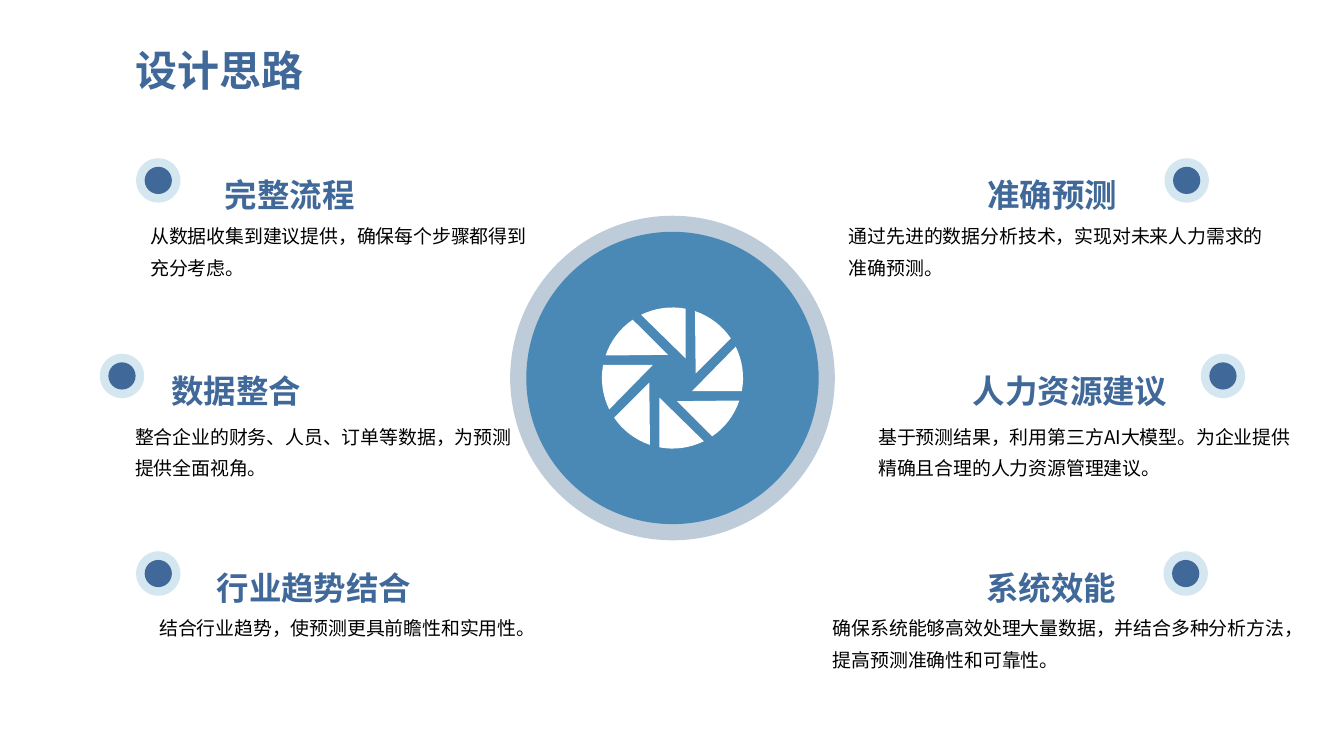
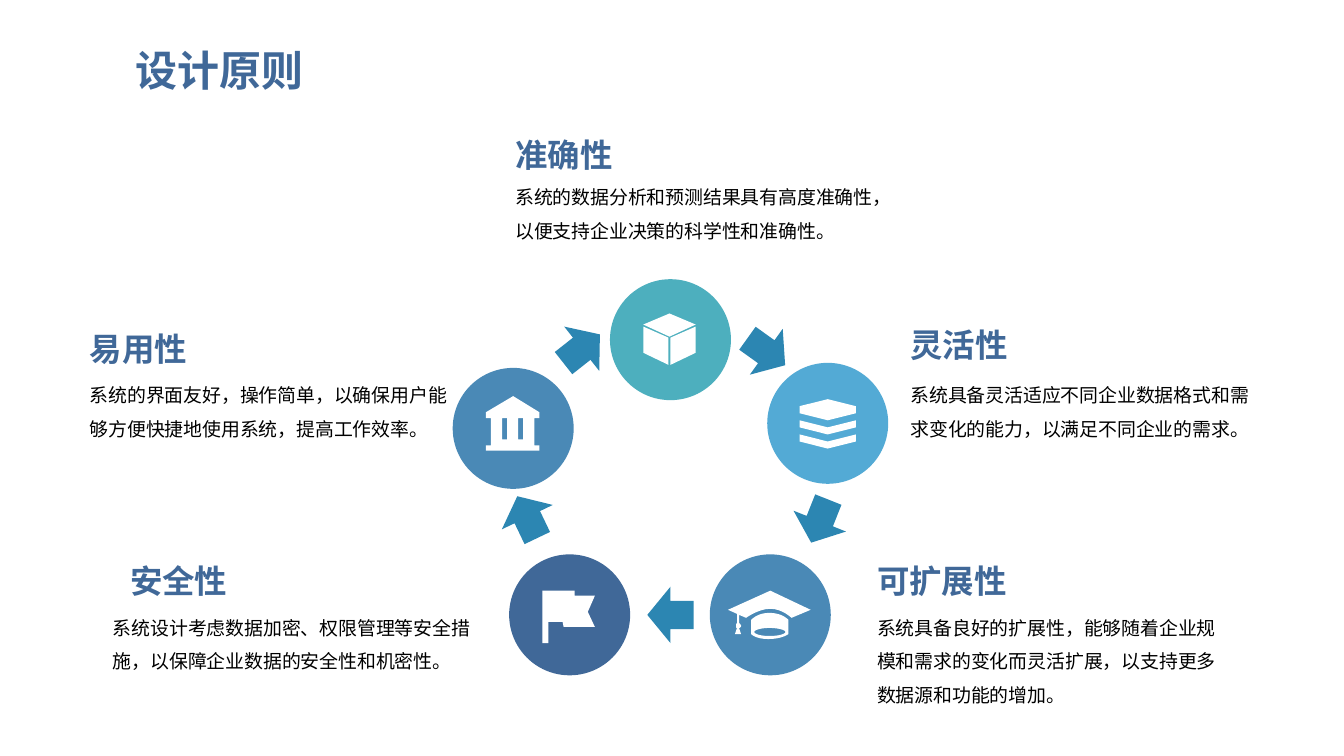
import collections
import dataclasses
import math

import lxml.etree
import pptx
import pptx.dml.color
import pptx.enum.shapes
import pptx.enum.text
import pptx.oxml.ns
import pptx.util

Inches = pptx.util.Inches
Shape = pptx.enum.shapes.MSO_SHAPE
Align = pptx.enum.text.PP_ALIGN
Box = collections.namedtuple("Box", "left top width height")
Feature = collections.namedtuple("Feature", "heading body heading_box body_box dot_left align")
Principle = collections.namedtuple("Principle", "heading body heading_box body_box")
Station = collections.namedtuple("Station", "left top color icon")


@dataclasses.dataclass(frozen=True)
class Theme:
    font: str = "Noto Sans CJK SC"
    navy: str = "406898"
    steel: str = "4A89B6"
    ocean: str = "2C86B2"
    slate: str = "376789"
    teal: str = "4DAFBE"
    sky: str = "53AAD5"
    black: str = "000000"
    white: str = "FFFFFF"
    title_size: float = 30
    heading_size: float = 23.2
    body_size: float = 13.5


THEME = Theme()
TITLE_BOX = Box(1.2, 0.1, 10.94, 0.98)
DISC = 1.2


def inches(box):
    return [Inches(length) for length in box]


def add_text(page, box, text, size=THEME.body_size, color=THEME.black, bold=False,
             spacing=1.4, align=Align.LEFT):
    frame = page.shapes.add_textbox(*inches(box)).text_frame
    frame.word_wrap = True
    frame.auto_size = pptx.enum.text.MSO_AUTO_SIZE.SHAPE_TO_FIT_TEXT
    frame.margin_left = frame.margin_top = frame.margin_bottom = Inches(0.14)
    frame.margin_right = Inches(0.06)
    para = frame.paragraphs[0]
    para.line_spacing = spacing
    para.alignment = align
    span = para.add_run()
    span.text = text
    span.font.name = THEME.font
    span.font.size = pptx.util.Pt(size)
    span.font.bold = bold
    span.font.color.rgb = pptx.dml.color.RGBColor.from_string(color)
    east_asian = lxml.etree.SubElement(span.font._element, pptx.oxml.ns.qn("a:ea"))
    east_asian.set("typeface", THEME.font)


def add_heading(page, box, text, **text_format):
    add_text(page, box, text, size=THEME.heading_size, color=THEME.navy, bold=True, **text_format)


def paint(shape, color, opacity=100):
    shape.shadow.inherit = False
    shape.fill.solid()
    shape.fill.fore_color.rgb = pptx.dml.color.RGBColor.from_string(color)
    shape.line.fill.background()
    if opacity < 100:
        color_element = shape._element.spPr.find(".//" + pptx.oxml.ns.qn("a:srgbClr"))
        alpha = lxml.etree.SubElement(color_element, pptx.oxml.ns.qn("a:alpha"))
        alpha.set("val", str(opacity * 1000))


def add_preset(page, preset, box, color, opacity=100, angle=0):
    shape = page.shapes.add_shape(preset, *inches(box))
    shape.rotation = angle
    paint(shape, color, opacity)


def cubic(start, control, steps=8):
    knots = [start, control[0:2], control[2:4], control[4:6]]
    for step in range(1, steps + 1):
        t = step / steps
        weights = [(1 - t) ** 3, 3 * t * (1 - t) ** 2, 3 * t ** 2 * (1 - t), t ** 3]
        yield tuple(sum(w * knot[axis] for w, knot in zip(weights, knots)) for axis in (0, 1))


def flatten(outline):
    points = [outline[0]]
    for item in outline[1:]:
        points.extend(cubic(points[-1], item) if len(item) == 6 else [item])
    return points


def add_icon(page, center, outlines):
    builder = None
    for outline in outlines:
        points = [(Inches(center[0] + x), Inches(center[1] + y)) for x, y in flatten(outline)]
        if builder is None:
            builder = page.shapes.build_freeform(*points[0], scale=1.0)
        else:
            builder.move_to(*points[0])
        builder.add_line_segments(points[1:], close=True)
    paint(builder.convert_to_shape(), THEME.white)


def rectangle(left, top, right, bottom):
    return [(left, top), (right, top), (right, bottom), (left, bottom)]


def shutter_icon(radius=0.7, blades=8):
    blade = [(0.195, 0.13)]
    for step in range(9):
        angle = math.radians(10.7 - 37.1 * step / 8)
        blade.append((radius * math.cos(angle), radius * math.sin(angle)))
    outlines = []
    for index in range(blades):
        turn = 2 * math.pi * index / blades
        cosine, sine = math.cos(turn), math.sin(turn)
        outlines.append([(x * cosine - y * sine, x * sine + y * cosine) for x, y in blade])
    return outlines


def cube_icon():
    return [
        [(-0.01, -0.26), (-0.27, -0.15), (-0.01, -0.03), (0.25, -0.15)],
        [(0, -0.02), (0, 0.25), (0.25, 0.13), (0.25, -0.13)],
        [(-0.27, 0.13), (-0.02, 0.25), (-0.02, -0.02), (-0.27, -0.13)],
    ]


def layers_icon():
    def layer(top, peak):
        return [(-0.28, top), (0, peak), (0.28, top),
                (0.28, top + 0.07), (0, top + 0.14), (-0.28, top + 0.07)]
    return [layer(-0.17, -0.24), layer(-0.03, 0.04), layer(0.11, 0.18)]


def bank_icon():
    roof = [(-0.27, -0.16), (0, -0.32), (0.26, -0.16), (0.26, -0.1), (-0.27, -0.1)]
    columns = [rectangle(left, -0.1, left + 0.11, 0.11) for left in (-0.22, -0.06, 0.1)]
    return [roof, rectangle(-0.27, 0.17, 0.26, 0.22), rectangle(-0.22, 0.11, 0.21, 0.17), *columns]


def flag_icon():
    return [[(-0.07, 0.07), (-0.21, 0.07), (-0.21, 0.28), (-0.27, 0.28), (-0.27, -0.24),
             (0.05, -0.24), (0.05, -0.19), (0.25, -0.19), (0.18, -0.03), (0.25, 0.12),
             (-0.06, 0.12)]]


def graduation_icon():
    board = [
        (0.21, 0.03), (0.21, 0.03, 0.12, -0.06, 0, -0.06),
        (-0.12, -0.06, -0.24, 0.03, -0.24, 0.03), (-0.31, 0), (-0.31, 0.08),
        (-0.3, 0.09, -0.29, 0.1, -0.29, 0.11), (-0.29, 0.12, -0.3, 0.13, -0.31, 0.13),
        (-0.29, 0.19), (-0.35, 0.19), (-0.33, 0.13),
        (-0.34, 0.13, -0.34, 0.12, -0.34, 0.11), (-0.34, 0.1, -0.34, 0.09, -0.33, 0.08),
        (-0.33, -0.01), (-0.42, -0.05), (0, -0.24), (0.4, -0.05),
    ]
    crown = [
        (-0.01, -0.02), (0.12, -0.02, 0.18, 0.05, 0.18, 0.05), (0.18, 0.19),
        (0.18, 0.19, 0.12, 0.24, -0.02, 0.24), (-0.15, 0.24, -0.19, 0.19, -0.19, 0.19),
        (-0.19, 0.05), (-0.19, 0.05, -0.13, -0.02, -0.01, -0.02),
    ]
    opening = [
        (-0.01, 0.21), (0.08, 0.21, 0.15, 0.19, 0.15, 0.17),
        (0.15, 0.15, 0.08, 0.13, -0.01, 0.13), (-0.09, 0.13, -0.16, 0.15, -0.16, 0.17),
        (-0.16, 0.19, -0.09, 0.21, -0.01, 0.21),
    ]
    return [board, crown, opening]


FEATURES = [
    Feature("完整流程", "从数据收集到建议提供，确保每个步骤都得到充分考虑。",
            Box(2.09, 1.31, 4.09, 0.95), Box(1.35, 2, 3.94, 0.91), 1.35, Align.LEFT),
    Feature("数据整合", "整合企业的财务、人员、订单等数据，为预测提供全面视角。",
            Box(1.56, 3.25, 3.35, 0.95), Box(1.2, 3.99, 4.02, 0.91), 0.99, Align.LEFT),
    Feature("行业趋势结合", "结合行业趋势，使预测更具前瞻性和实用性。",
            Box(2.01, 5.21, 3.95, 0.95), Box(1.44, 5.89, 4.23, 0.59), 1.35, Align.LEFT),
    Feature("准确预测", "通过先进的数据分析技术，实现对未来人力需求的准确预测。",
            Box(7.26, 1.31, 3.88, 0.95), Box(8.28, 2, 4.49, 0.93), 11.55, Align.RIGHT),
    Feature("人力资源建议", "基于预测结果，利用第三方AI大模型。为企业提供精确且合理的人力资源管理建议。",
            Box(8.28, 3.25, 3.36, 0.95), Box(8.57, 3.99, 4.31, 0.88), 11.91, Align.RIGHT),
    Feature("系统效能", "确保系统能够高效处理大量数据，并结合多种分析方法，提高预测准确性和可靠性。",
            Box(7.36, 5.21, 3.77, 0.95), Box(8.12, 5.89, 4.77, 0.91), 11.54, Align.RIGHT),
]

PRINCIPLES = [
    Principle("准确性", "系统的数据分析和预测结果具有高度准确性，以便支持企业决策的科学性和准确性。",
              Box(4.97, 1.12, 4.51, 0.74), Box(4.97, 1.59, 3.78, 0.91)),
    Principle("灵活性", "系统具备灵活适应不同企业数据格式和需求变化的能力，以满足不同企业的需求。",
              Box(8.89, 3.01, 4.26, 0.74), Box(8.89, 3.55, 3.62, 0.95)),
    Principle("可扩展性", "系统具备良好的扩展性，能够随着企业规模和需求的变化而灵活扩展，以支持更多数据源和功能的增加。",
              Box(8.56, 5.35, 4.26, 0.74), Box(8.56, 5.86, 3.62, 1.29)),
    Principle("安全性", "系统设计考虑数据加密、权限管理等安全措施，以保障企业数据的安全性和机密性。",
              Box(1.15, 5.35, 4.26, 0.74), Box(0.98, 5.86, 3.8, 0.91)),
    Principle("易用性", "系统的界面友好，操作简单，以确保用户能够方便快捷地使用系统，提高工作效率。",
              Box(0.75, 3.05, 4.26, 0.74), Box(0.75, 3.55, 3.8, 0.91)),
]

STATIONS = [
    Station(6.05, 2.77, THEME.teal, cube_icon()),
    Station(7.61, 3.6, THEME.sky, layers_icon()),
    Station(7.04, 5.5, THEME.steel, graduation_icon()),
    Station(5.05, 5.5, THEME.navy, flag_icon()),
    Station(4.49, 3.65, THEME.steel, bank_icon()),
]

ARROWS = [(7.37, 3.21, 35.6), (7.9, 4.89, 111.7), (6.42, 5.82, 180),
          (5, 4.85, 244.4), (5.54, 3.18, 321.7)]


def add_page(deck, title):
    page = deck.slides.add_slide(deck.slide_layouts[6])
    add_text(page, TITLE_BOX, title, size=THEME.title_size, color=THEME.navy, bold=True)
    return page


def add_hub(page, box, rim=0.16):
    add_preset(page, Shape.OVAL, box, THEME.slate, opacity=33)
    inner = Box(box.left + rim, box.top + rim, box.width - 2 * rim, box.height - 2 * rim)
    add_preset(page, Shape.OVAL, inner, THEME.steel)
    add_icon(page, (box.left + box.width / 2, box.top + box.height / 2), shutter_icon())


def add_dot(page, box, core=0.27):
    add_preset(page, Shape.OVAL, box, THEME.ocean, opacity=20)
    inset = (box.width - core) / 2
    add_preset(page, Shape.OVAL, Box(box.left + inset, box.top + inset, core, core), THEME.navy)


def add_feature(page, feature):
    add_dot(page, Box(feature.dot_left, feature.heading_box.top + 0.26, 0.44, 0.44))
    add_heading(page, feature.heading_box, feature.heading, spacing=1.74, align=feature.align)
    add_text(page, feature.body_box, feature.body)


def add_station(page, station):
    add_preset(page, Shape.OVAL, Box(station.left, station.top, DISC, DISC), station.color)
    add_icon(page, (station.left + DISC / 2, station.top + DISC / 2), station.icon)


def add_principle(page, principle):
    add_heading(page, principle.heading_box, principle.heading, spacing=1.2)
    add_text(page, principle.body_box, principle.body, spacing=1.5)


def build_approach(deck):
    page = add_page(deck, "设计思路")
    add_hub(page, Box(5.06, 2.14, 3.22, 3.22))
    for feature in FEATURES:
        add_feature(page, feature)


def build_principles(deck):
    page = add_page(deck, "设计原则")
    for station in STATIONS:
        add_station(page, station)
    for left, top, angle in ARROWS:
        add_preset(page, Shape.RIGHT_ARROW, Box(left, top, 0.46, 0.56), THEME.ocean, angle=angle)
    for principle in PRINCIPLES:
        add_principle(page, principle)


def main():
    deck = pptx.Presentation()
    deck.slide_width, deck.slide_height = Inches(13.33), Inches(7.5)
    build_approach(deck)
    build_principles(deck)
    deck.save("out.pptx")


if __name__ == "__main__":
    main()
